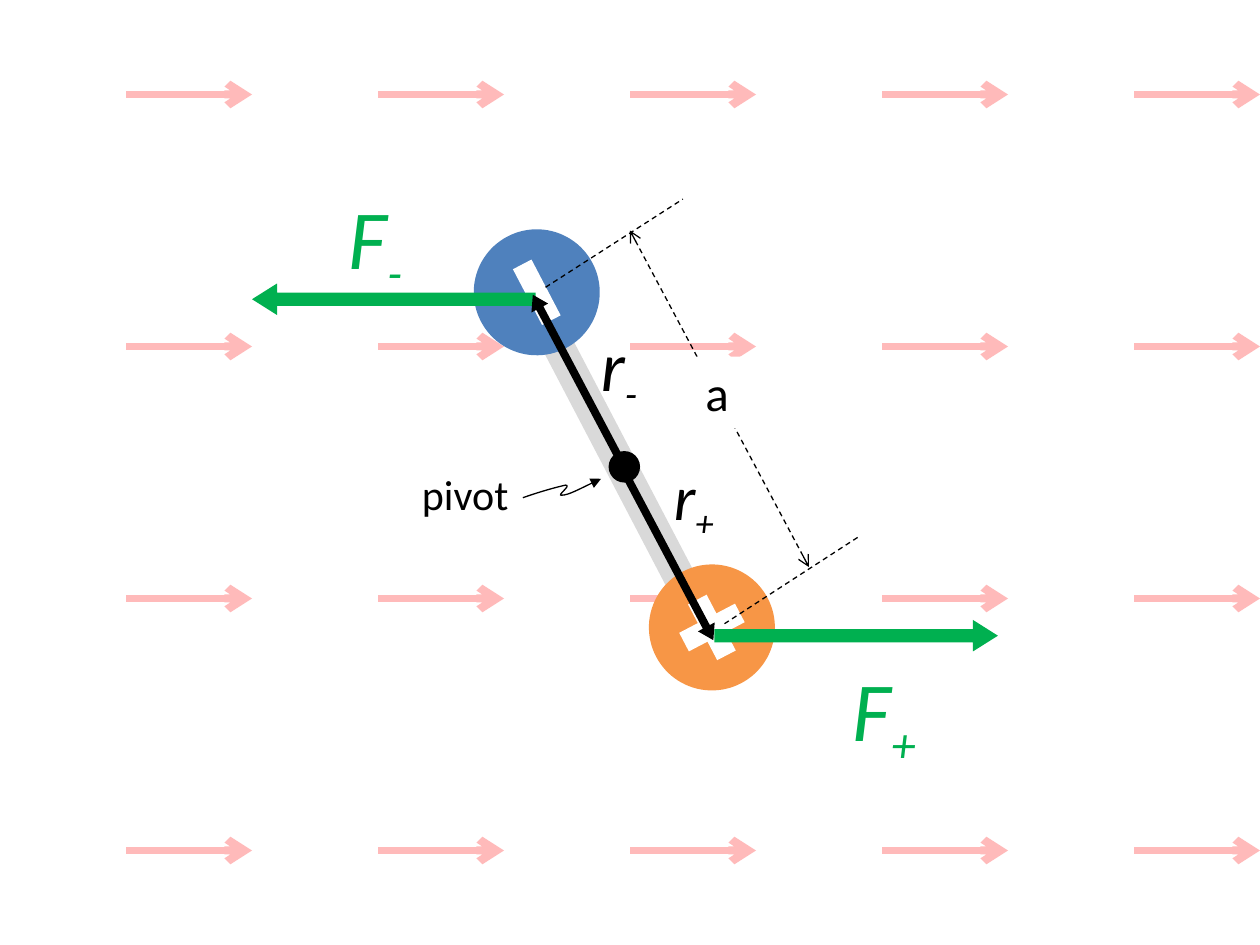
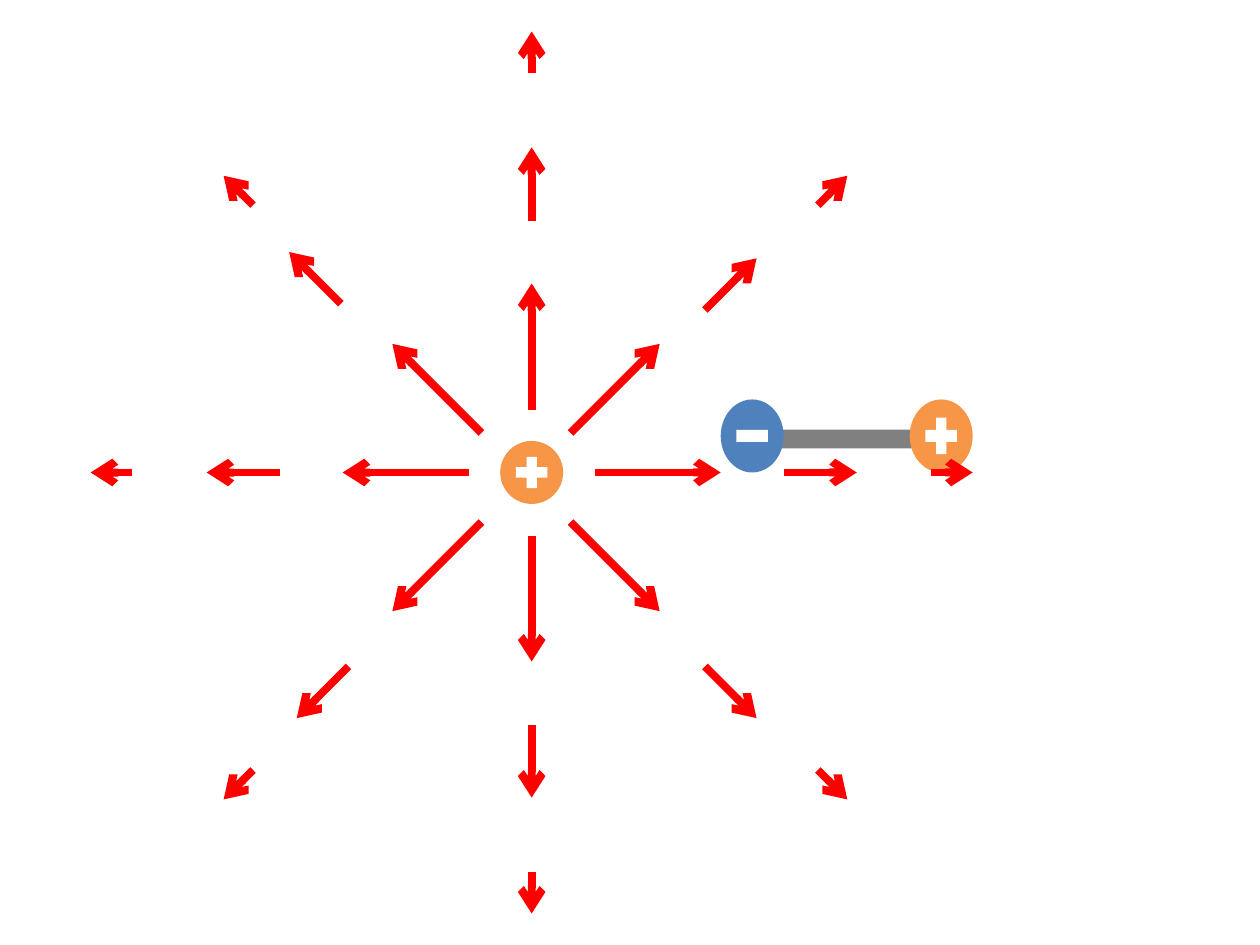
from dataclasses import dataclass
from itertools import product
from lxml import etree
from pptx import Presentation
from pptx.dml.color import RGBColor
from pptx.enum.dml import MSO_LINE
from pptx.enum.shapes import MSO_CONNECTOR, MSO_SHAPE
from pptx.enum.text import MSO_AUTO_SIZE
from pptx.oxml.ns import qn
from pptx.util import Inches, Pt

RECT, OVAL, LEFT_ARROW = MSO_SHAPE.RECTANGLE, MSO_SHAPE.OVAL, MSO_SHAPE.LEFT_ARROW
STRAIGHT = MSO_CONNECTOR.STRAIGHT
DASH = MSO_LINE.DASH
FIT_SHAPE = MSO_AUTO_SIZE.SHAPE_TO_FIT_TEXT


@dataclass(frozen=True)
class Theme:
    font: str = "Calibri"
    white: str = "FFFFFF"
    black: str = "000000"
    field: str = "FF0000"
    force: str = "00B050"
    negative: str = "4F81BD"
    positive: str = "F79646"
    pale_rod: str = "D9D9D9"
    dark_rod: str = "808080"
    force_size: int = 48
    minus_radius_size: int = 40
    plus_radius_size: int = 36
    distance_size: int = 28
    note_size: int = 24
    field_width: float = 4.5
    thin_width: float = 0.75


class Diagram:
    def __init__(self, prs, theme):
        self.prs, self.t = prs, theme
        self.s = self.shapes = None

    def new_slide(self):
        self.s = self.prs.slides.add_slide(self.prs.slide_layouts[6])
        self.shapes = self.s.shapes

    def new_group(self):
        self.shapes = self.s.shapes.add_group_shape().shapes

    def end_group(self):
        self.shapes = self.s.shapes

    def shape(self, kind, cx, cy, w, h, color, turn=0, alpha=None):
        """Filled shape placed by its centre."""
        sp = self.shapes.add_shape(kind, Inches(cx - w / 2), Inches(cy - h / 2),
                                   Inches(w), Inches(h))
        sp.shadow.inherit = False
        sp.fill.solid()
        sp.fill.fore_color.rgb = RGBColor.from_string(color)
        sp.line.fill.background()
        sp.rotation = turn
        if alpha is not None:
            clr = sp._element.spPr.find(qn("a:solidFill"))[0]
            etree.SubElement(clr, qn("a:alpha"), val=str(alpha * 1000))
        return sp

    def block_arrow(self, cx, cy, w, h, color, turn=0):
        sp = self.shape(LEFT_ARROW, cx, cy, w, h, color, turn)
        sp.adjustments[0], sp.adjustments[1] = 0.421, 0.795

    def charge(self, cx, cy, w, h, positive, turn=0):
        """Disc with a minus or plus sign in proportion to its size."""
        color = self.t.positive if positive else self.t.negative
        self.shape(OVAL, cx, cy, w, h, color, turn)
        self.shape(RECT, cx, cy, w / 2, h / 6, self.t.white, turn)
        if positive:
            self.shape(RECT, cx, cy, h / 2, w / 6, self.t.white, turn + 90)

    def stroke(self, sp, color, width, head=None, tail=None, dash=None):
        sp.line.color.rgb = RGBColor.from_string(color)
        sp.line.width = Pt(width)
        if dash is not None:
            sp.line.dash_style = dash
        ln = sp._element.spPr.find(qn("a:ln"))
        for tag, end in (("a:headEnd", head), ("a:tailEnd", tail)):
            if end:
                etree.SubElement(ln, qn(tag), type=end)

    def line(self, x1, y1, x2, y2, color, width, **style):
        cn = self.shapes.add_connector(STRAIGHT, Inches(x1), Inches(y1),
                                       Inches(x2), Inches(y2))
        self.stroke(cn, color, width, **style)
        etree.SubElement(cn._element.spPr, qn("a:effectLst"))

    def field_arrow(self, x1, y1, x2, y2):
        self.line(x1, y1, x2, y2, self.t.field, self.t.field_width, tail="arrow")

    def thin_dash(self, x1, y1, x2, y2, **ends):
        self.line(x1, y1, x2, y2, self.t.black, self.t.thin_width, dash=DASH, **ends)

    def curve(self, points):
        """Start point followed by Bezier triples, ending in an arrowhead."""
        pts = [(Inches(x), Inches(y)) for x, y in points]
        builder = self.shapes.build_freeform(*pts[0])
        builder.add_line_segments(pts[1:], close=False)
        sp = builder.convert_to_shape()
        sp.shadow.inherit = False
        sp.fill.background()
        self.stroke(sp, self.t.black, self.t.thin_width, tail="triangle")
        steps = list(sp._element.iter(qn("a:lnTo")))
        outline = steps[0].getparent()
        for i in range(0, len(steps), 3):
            bezier = etree.SubElement(outline, qn("a:cubicBezTo"))
            for step in steps[i:i + 3]:
                bezier.append(step[0])
                outline.remove(step)

    def label(self, x, y, w, h, text, size, color, sub=None, italic=False, fill=None):
        sp = self.shapes.add_textbox(Inches(x), Inches(y), Inches(w), Inches(h))
        if fill:
            sp.fill.solid()
            sp.fill.fore_color.rgb = RGBColor.from_string(fill)
        tf = sp.text_frame
        tf.word_wrap = False
        tf.auto_size = FIT_SHAPE
        p = tf.paragraphs[0]
        for part in filter(None, (text, sub)):
            r = p.add_run()
            r.text = part
            r.font.name = self.t.font
            r.font.size = Pt(size)
            r.font.italic = italic
            r.font.color.rgb = RGBColor.from_string(color)
            if part == sub:
                r.font._element.set("baseline", "-25000")


def torque_slide(d):
    t = d.t
    d.new_slide()

    # Uniform field, softened by a translucent veil
    d.new_group()
    for x, row in product(range(1, 10, 2), range(4)):
        y = 0.75 + 2 * row
        d.field_arrow(x, y, x + 1, y)
    d.end_group()
    d.shape(RECT, 5.415, 3.745, 9.17, 6.33, t.white, alpha=73)

    # Force labels
    d.new_group()
    d.label(2.67, 1.42, 0.65, 0.91, "F", t.force_size, t.force, "-", True)
    d.label(6.67, 5.17, 0.73, 0.91, "F", t.force_size, t.force, "+", True)

    # Tilted dipole
    tilt, arm_tilt = 62.4, 62.1
    d.shape(RECT, 4.92, 3.68, 2.17, 0.25, t.pale_rod, tilt)
    d.charge(4.26, 2.32, 1, 1, False, tilt)
    d.charge(5.65, 4.98, 1, 1, True, tilt)

    # Forces, lever arms and pivot
    d.block_arrow(3.125, 2.375, 2.25, 0.25, t.force)
    d.block_arrow(6.795, 5.045, 2.25, 0.25, t.force, 180)
    d.block_arrow(5.32, 4.435, 1.46, 0.15, t.black, arm_tilt + 180)
    d.shape(OVAL, 4.955, 3.705, 0.25, 0.25, t.black)
    d.label(4.67, 2.5, 0.51, 0.77, "r", t.minus_radius_size, t.black, "-", True)
    d.label(5.25, 3.58, 0.54, 0.71, "r", t.plus_radius_size, t.black, "+", True)
    d.label(3.25, 3.67, 0.89, 0.5, "pivot", t.note_size, t.black)
    d.block_arrow(4.57, 2.985, 1.46, 0.15, t.black, arm_tilt)
    d.curve([(4.15, 3.95),
             (4.29, 3.9), (4.44, 3.86), (4.49, 3.85),
             (4.54, 3.85), (4.41, 3.94), (4.46, 3.93),
             (4.51, 3.93), (4.64, 3.86), (4.77, 3.8)])

    # Distance between the charges
    d.thin_dash(5, 1.83, 6.42, 4.5, head="arrow", tail="arrow")
    d.thin_dash(4.33, 2.28, 5.42, 1.58)
    d.thin_dash(5.75, 4.95, 6.83, 4.25)
    d.label(5.5, 2.83, 0.39, 0.57, "a", t.distance_size, t.black, fill=t.white)


def radial_slide(d):
    d.new_slide()

    # Horizontal dipole
    d.new_group()
    d.shape(RECT, 6.72, 3.485, 1.08, 0.15, d.t.dark_rod)
    d.charge(5.97, 3.46, 0.5, 0.58, False)
    d.charge(7.47, 3.46, 0.5, 0.58, True)

    # Point charge
    d.new_group()
    cx, cy = 4.22, 3.75
    d.charge(cx, cy, 0.5, 0.5, True)

    # Three rings of field arrows: radii, then the centre of the diagonals
    rings = [(0.5, 1.5, 4.175, 3.79),
             (2.0, 2.58, 4.18, 3.875),
             (3.17, 3.5, 4.25, 3.87)]
    nudges = {(1, -1, -1): (-0.06, -0.05)}
    for i, (start, end, diag_x, diag_y) in enumerate(rings):
        for ux, uy in product((-1, 0, 1), repeat=2):
            if ux == uy == 0:
                continue
            x0, y0, k = cx, cy, 1
            if ux and uy:
                dx, dy = nudges.get((i, ux, uy), (0, 0))
                x0, y0, k = diag_x + dx, diag_y + dy, 0.5 ** 0.5
            d.field_arrow(x0 + ux * k * start, y0 + uy * k * start,
                          x0 + ux * k * end, y0 + uy * k * end)


prs = Presentation()
prs.slide_width, prs.slide_height = Inches(10), Inches(7.5)
diagram = Diagram(prs, Theme())
torque_slide(diagram)
radial_slide(diagram)
prs.save("out.pptx")
